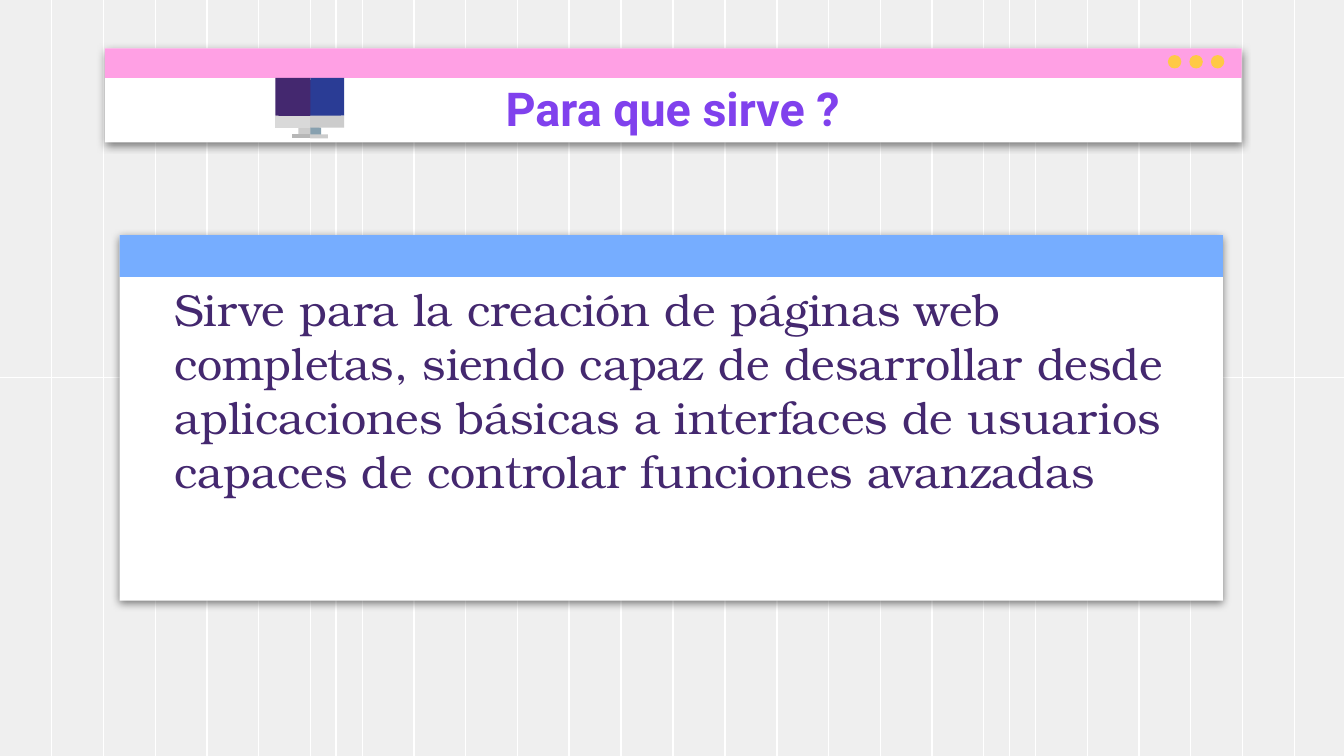
from lxml import etree
from pptx import Presentation
from pptx.dml.color import RGBColor
from pptx.enum import shapes, text
from pptx.oxml import parse_xml
from pptx.oxml.ns import qn
from pptx.util import Inches, Pt

NS = 'xmlns:a="http://schemas.openxmlformats.org/drawingml/2006/main"'
SHADOW = (f'<a:effectLst {NS}><a:outerShdw blurRad="57150" dist="19050" '
          'dir="5400000" algn="bl" rotWithShape="0"><a:srgbClr val="000000">'
          '<a:alpha val="50000"/></a:srgbClr></a:outerShdw></a:effectLst>')

WIDTH = 10
HEIGHT = WIDTH * 9 / 16
MIDDLE = 2.81
RECT, OVAL = shapes.MSO_SHAPE.RECTANGLE, shapes.MSO_SHAPE.OVAL
BODY = ("Sirve para la creación de páginas web completas, siendo capaz de "
        "desarrollar desde aplicaciones básicas a interfaces de usuarios "
        "capaces de controlar funciones avanzadas")

# Computer icon: fill and outline points
COMPUTER = [
    ("2A3C95", [(2.31, 0.58), (2.29, 0.88), (2.56, 0.86), (2.56, 0.58)]),
    ("44286F", [(2.05, 0.58), (2.05, 0.86), (2.31, 0.88), (2.31, 0.58)]),
    ("87A0AF", [(2.29, 0.93), (2.31, 1.01), (2.39, 1.01), (2.39, 0.95)]),
    ("CCCCCC", [(2.31, 0.93), (2.22, 0.95), (2.22, 1.01), (2.31, 1.01)]),
    ("CCCCCC", [(2.31, 1), (2.3, 1.01), (2.31, 1.03), (2.44, 1.03), (2.44, 1)]),
    ("B7B7B7", [(2.17, 1), (2.17, 1.03), (2.31, 1.03), (2.31, 1)]),
    ("CCCCCC", [(2.31, 0.86), (2.29, 0.9), (2.31, 0.95), (2.56, 0.95), (2.56, 0.86)]),
    ("D9D9D9", [(2.05, 0.86), (2.05, 0.95), (2.31, 0.95), (2.31, 0.86)]),
]


def rgb(value):
    return RGBColor.from_string(value)


def paint(sp, color):
    sp.shadow.inherit = False
    sp.fill.solid()
    sp.fill.fore_color.rgb = rgb(color)
    sp.line.fill.background()


def add_shape(parent, kind, box, color, shadow=False):
    sp = parent.shapes.add_shape(kind, *map(Inches, box))
    paint(sp, color)
    if shadow:
        sp_pr = sp._element.spPr
        sp_pr.replace(sp_pr.find(qn("a:effectLst")), parse_xml(SHADOW))


def add_line(parent, x1, y1, x2, y2):
    line = parent.shapes.add_connector(
        shapes.MSO_CONNECTOR.STRAIGHT, *map(Inches, (x1, y1, x2, y2)))
    line.line.color.rgb = rgb("FFFFFF")
    line.line.width = Pt(0.75)
    etree.SubElement(line._element.spPr, qn("a:effectLst"))


def add_polygon(parent, color, points):
    start, *rest = [(Inches(x), Inches(y)) for x, y in points]
    builder = parent.shapes.build_freeform(*start)
    builder.add_line_segments(rest, close=True)
    paint(builder.convert_to_shape(), color)


def add_text(slide, box, words, color, align, anchor, **font):
    tf = slide.shapes.add_textbox(*map(Inches, box)).text_frame
    frame = {"word_wrap": True, "vertical_anchor": anchor}
    frame.update({f"margin_{side}": Inches(0.1)
                  for side in ("left", "top", "right", "bottom")})
    for name, value in frame.items():
        setattr(tf, name, value)
    p = tf.paragraphs[0]
    p.alignment = align
    r = p.add_run()
    r.text = words
    r.font.color.rgb = rgb(color)
    for name, value in font.items():
        setattr(r.font, name, value)


def add_grid(slide):
    # Two equal halves, each with 13 columns and a centre line
    step = 0.385
    for left, first in ((0, 1), (5.01, 0)):
        grp = slide.shapes.add_group_shape()
        for i in range(first, first + 13):
            x = left + i * step
            add_line(grp, x, 0, x, MIDDLE)
            add_line(grp, x, MIDDLE, x, HEIGHT)
        add_line(grp, left + 2.5, 0, left + 2.5, HEIGHT)
        add_line(grp, left, MIDDLE, min(left + 5.01, WIDTH), MIDDLE)


def add_window(slide, box, bar_height, bar_color):
    left, top, width, _ = box
    grp = slide.shapes.add_group_shape()
    add_shape(grp, RECT, box, "FFFFFF", shadow=True)
    add_shape(grp, RECT, (left, top, width, bar_height), bar_color)
    return grp


def main():
    prs = Presentation()
    prs.slide_width, prs.slide_height = Inches(WIDTH), Inches(HEIGHT)
    slide = prs.slides.add_slide(prs.slide_layouts[6])
    slide.background.fill.solid()
    slide.background.fill.fore_color.rgb = rgb("EFEFEF")
    add_grid(slide)

    # Windows, with three buttons on the title bar
    add_window(slide, (0.89, 1.75, 8.21, 2.72), 0.31, "76ADFF")
    header = add_window(slide, (0.78, 0.36, 8.46, 0.7), 0.22, "FFA0E4")
    for i in range(3):
        add_shape(header, OVAL, (8.69 + i * 0.16, 0.41, 0.1, 0.1), "FFC946")

    # Title and computer icon
    add_text(slide, (0.79, 0.49, 8.43, 0.63), "Para que sirve ?", "8041ED",
             text.PP_ALIGN.CENTER, text.MSO_ANCHOR.MIDDLE,
             name="Roboto", size=Pt(25), bold=True)
    icon = slide.shapes.add_group_shape()
    for color, points in COMPUTER:
        add_polygon(icon, color, points)

    # Body
    add_text(slide, (1.2, 2, 7.8, 2.13), BODY, "44286F",
             text.PP_ALIGN.LEFT, text.MSO_ANCHOR.TOP,
             name="TeX Gyre Bonum", size=Pt(24))
    prs.save("out.pptx")


if __name__ == "__main__":
    main()
